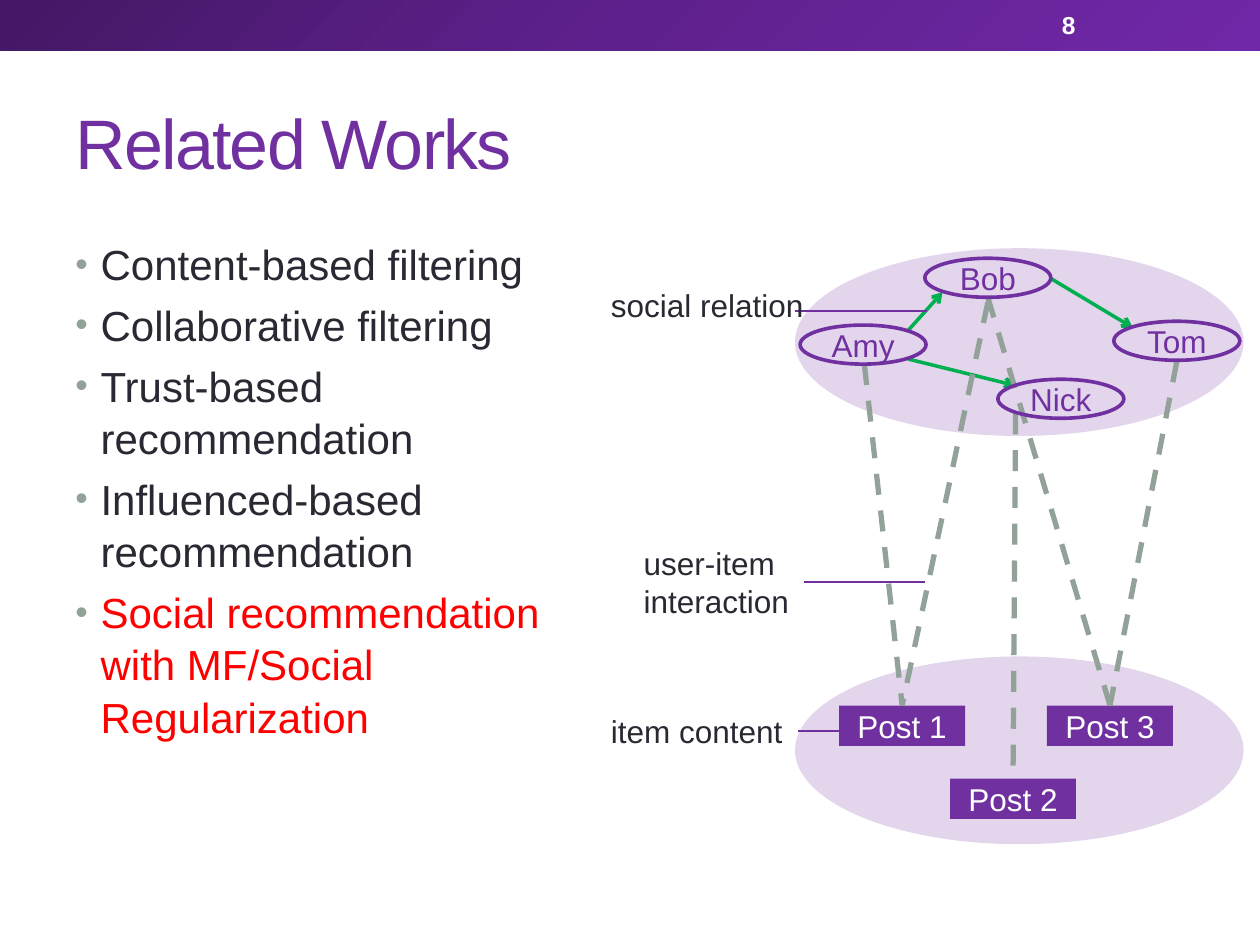
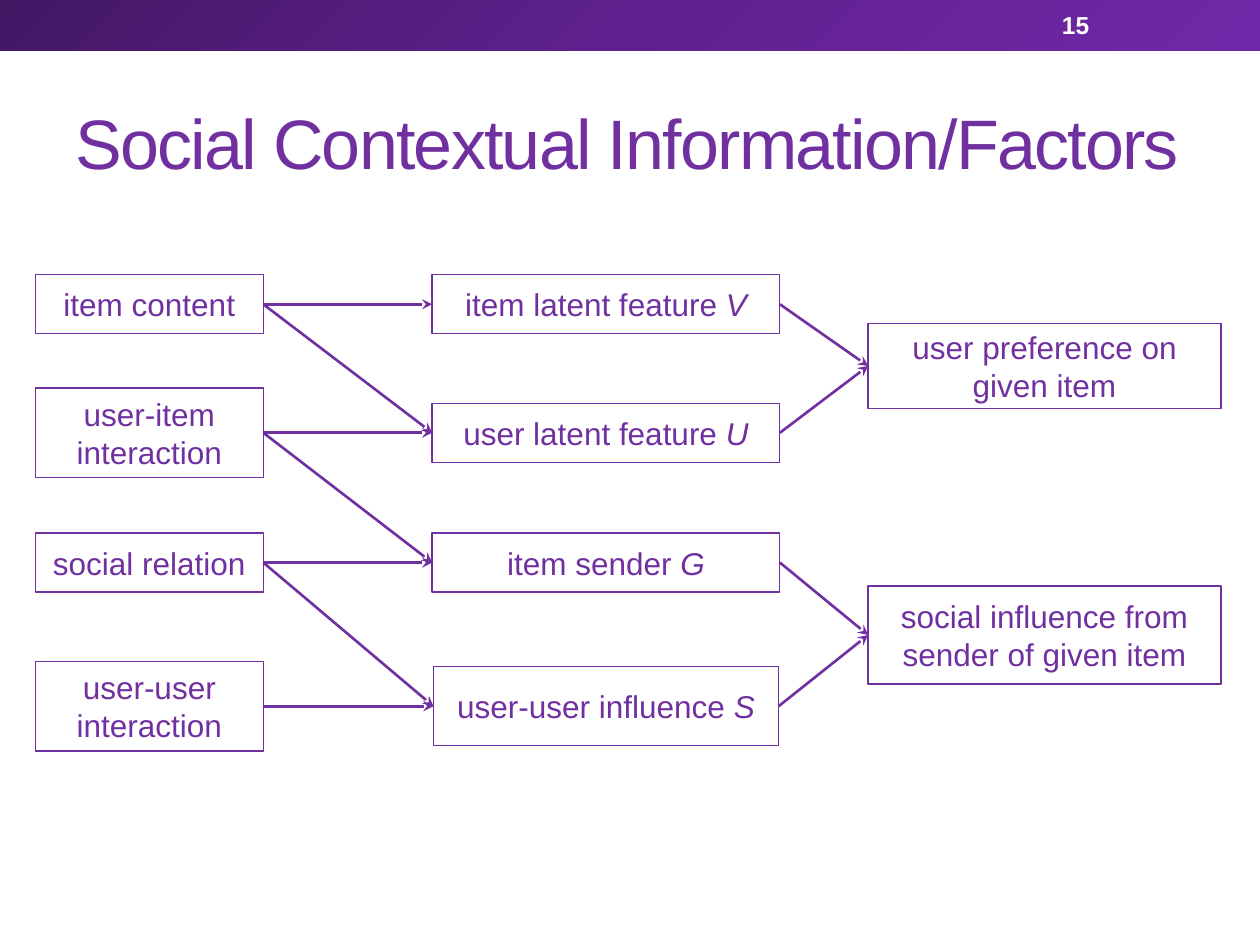
from copy import deepcopy

from lxml import etree
from pptx import Presentation
from pptx.dml.color import RGBColor
from pptx.enum.dml import MSO_LINE
from pptx.enum.shapes import MSO_CONNECTOR, MSO_SHAPE
from pptx.enum.text import MSO_ANCHOR, PP_ALIGN
from pptx.oxml.ns import qn
from pptx.util import Inches, Pt

RECTANGLE, ELLIPSE = MSO_SHAPE.RECTANGLE, MSO_SHAPE.OVAL
STRAIGHT, DASH = MSO_CONNECTOR.STRAIGHT, MSO_LINE.DASH
TOP, MIDDLE = MSO_ANCHOR.TOP, MSO_ANCHOR.MIDDLE
LEFT, CENTER = PP_ALIGN.LEFT, PP_ALIGN.CENTER
TOP_SIDE, LEFT_SIDE, RIGHT_SIDE = 0, 1, 3

FONT = "Arial"
PURPLE = RGBColor(0x70, 0x30, 0xA0)
WHITE = RGBColor(0xFF, 0xFF, 0xFF)
INK = RGBColor(0x29, 0x29, 0x34)
RED = RGBColor(0xFF, 0x00, 0x00)
GREEN = RGBColor(0x00, 0xB0, 0x50)
GRAY = RGBColor(0x93, 0xA2, 0x99)
BAND_COLORS = [RGBColor(0x43, 0x17, 0x64), RGBColor(0x5F, 0x21, 0x8E),
               RGBColor(0x71, 0x28, 0xA8)]


def add_box(slide, kind, box, text="", color=PURPLE, size=18, align=CENTER,
            anchor=MIDDLE, fill=None, outline=None, wrap=True):
    """Add a preset shape, or a text box when kind is None."""
    place = [Inches(length) for length in box]
    if kind is None:
        shape = slide.shapes.add_textbox(*place)
    else:
        shape = slide.shapes.add_shape(kind, *place)
        shape.shadow.inherit = False
        if fill is None:
            shape.fill.background()
        else:
            shape.fill.solid()
            shape.fill.fore_color.rgb = fill
        if outline is None:
            shape.line.fill.background()
        else:
            shape.line.color.rgb = PURPLE
            shape.line.width = Pt(outline)
    frame = shape.text_frame
    frame.text = text
    frame.word_wrap = wrap
    frame.vertical_anchor = anchor
    for paragraph in frame.paragraphs:
        paragraph.alignment = align
        paragraph.font.name = FONT
        paragraph.font.size = Pt(size)
        paragraph.font.color.rgb = color
    return shape


def add_line(slide, start, end, color, width, arrow=None):
    """Add a straight line; an end is a point or a (shape, side) pair."""
    points = [(0, 0) if hasattr(point[0], "shape_id") else point for point in (start, end)]
    line = slide.shapes.add_connector(
        STRAIGHT, *[Inches(length) for point in points for length in point])
    if hasattr(start[0], "shape_id"):
        line.begin_connect(*start)
    if hasattr(end[0], "shape_id"):
        line.end_connect(*end)
    line.line.color.rgb = color
    line.line.width = Pt(width)
    if arrow:
        etree.SubElement(line.line._get_or_add_ln(), qn("a:tailEnd"), type=arrow)
    etree.SubElement(line._element.spPr, qn("a:effectLst"))
    return line


presentation = Presentation()
presentation.slide_width = Inches(10)
presentation.slide_height = Inches(7.5)
blank_layout = presentation.slide_layouts[6]

# Shared frame: gradient band, slide number and title
slides = []
for number, title in [("8", "Related Works"),
                      ("15", "Social Contextual Information/Factors")]:
    slide = presentation.slides.add_slide(blank_layout)
    slides.append(slide)
    band = add_box(slide, RECTANGLE, (0, 0, 10, 0.4))
    band.fill.gradient()
    band.fill.gradient_angle = 315
    stop_list = band._element.spPr.find(qn("a:gradFill")).find(qn("a:gsLst"))
    stop_list.append(deepcopy(stop_list[-1]))
    for stop, color, position in zip(band.fill.gradient_stops, BAND_COLORS, (0, 0.5, 1)):
        stop.color.rgb = color
        stop.position = position
    number_box = add_box(slide, None, (8.33, 0.02, 1.17, 0.36), number, WHITE, 14, LEFT)
    number_box.text_frame.paragraphs[0].font.bold = True
    title_box = add_box(slide, None, (0.5, 0.58, 9, 1.08), title, size=40, align=LEFT)
    title_run = title_box.text_frame.paragraphs[0].runs[0]
    title_run._r.get_or_add_rPr().set("spc", "-100")

related_slide, factors_slide = slides

# Related works: bullet list
topics = ["Content-based filtering", "Collaborative filtering",
          "Trust-based recommendation", "Influenced-based recommendation",
          "Social recommendation with MF/Social Regularization"]
topic_box = add_box(related_slide, None, (0.5, 1.83, 4.42, 5.16), "\n".join(topics),
                    INK, 24, LEFT, TOP)
for paragraph in topic_box.text_frame.paragraphs:
    paragraph.space_before = Pt(4.8)
    paragraph.line_spacing = 1.04
    properties = paragraph._p.get_or_add_pPr()
    properties.set("marL", str(Inches(0.2)))
    properties.set("indent", str(-Inches(0.2)))
    bullet_parts = [
        etree.Element(qn("a:buClr")),
        etree.Element(qn("a:buSzPct"), val="85000"),
        etree.Element(qn("a:buFont"), typeface=FONT),
        etree.Element(qn("a:buChar"), char="•"),
    ]
    etree.SubElement(bullet_parts[0], qn("a:srgbClr"), val=str(GRAY))
    default_font = properties.find(qn("a:defRPr"))
    for part in bullet_parts:
        default_font.addprevious(part)
topic_box.text_frame.paragraphs[-1].font.color.rgb = RED

# Related works: user layer and item layer
for layer_top in (1.97, 5.21):
    layer = add_box(related_slide, ELLIPSE, (6.31, layer_top, 3.56, 1.49), fill=PURPLE)
    layer_color = layer._element.spPr.find(qn("a:solidFill"))[0]
    etree.SubElement(layer_color, qn("a:alpha"), val="20000")

posts = {}
for name, left, top in [("Post 1", 6.66, 5.6), ("Post 2", 7.54, 6.18),
                        ("Post 3", 8.31, 5.6)]:
    posts[name] = add_box(related_slide, RECTANGLE, (left, top, 1, 0.32), name,
                          WHITE, fill=PURPLE)

# Social relations between users
for start, end in [((7.21, 2.62), (7.48, 2.32)), ((7.21, 2.85), (8.06, 3.06)),
                   ((8.34, 2.21), (8.99, 2.6))]:
    add_line(related_slide, start, end, GREEN, 2, "arrow")

# Interactions between users and posts
for start, post in [((6.86, 2.89), "Post 1"), ((7.84, 2.4), "Post 1"),
                    ((7.84, 2.36), "Post 3"), ((9.34, 2.87), "Post 3"),
                    ((8.06, 3.28), "Post 2")]:
    interaction = add_line(related_slide, start, (posts[post], TOP_SIDE), GRAY, 3)
    interaction.line.dash_style = DASH

for name, left, top in [("Amy", 6.35, 2.58), ("Tom", 8.84, 2.55),
                        ("Bob", 7.34, 2.05), ("Nick", 7.92, 3.01)]:
    add_box(related_slide, ELLIPSE, (left, top, 1, 0.31), name, outline=2.08, wrap=False)

# Labels with leader lines
for text, box, leader_left, leader_right, leader_y in [
        ("social relation", (4.75, 2.22, 1.74, 0.4), 6.31, 7.36, 2.47),
        ("user-item\ninteraction", (5.01, 4.27, 1.37, 0.71), 6.38, 7.34, 4.62),
        ("item content", (4.75, 5.6, 1.58, 0.4), 6.33, 6.69, 5.8)]:
    add_line(related_slide, (leader_left, leader_y), (leader_right, leader_y), PURPLE, 1)
    add_box(related_slide, None, box, text, INK, align=LEFT, anchor=TOP, wrap=False)

# Factors: three columns of boxes, with an italic symbol where there is one
factors = {}
for text, symbol, box in [
        ("item content", "", (0.28, 2.18, 1.81, 0.47)),
        ("user-item interaction", "", (0.28, 3.08, 1.81, 0.71)),
        ("social relation", "", (0.28, 4.23, 1.81, 0.47)),
        ("user-user interaction", "", (0.28, 5.25, 1.81, 0.71)),
        ("item latent feature ", "V", (3.43, 2.18, 2.76, 0.47)),
        ("user latent feature ", "U", (3.43, 3.2, 2.76, 0.47)),
        ("item sender ", "G", (3.43, 4.23, 2.76, 0.47)),
        ("user-user influence ", "S", (3.44, 5.29, 2.74, 0.63)),
        ("user preference on given item", "", (6.89, 2.57, 2.8, 0.67)),
        ("social influence from sender of given item", "", (6.89, 4.65, 2.8, 0.78))]:
    shape = add_box(factors_slide, RECTANGLE, box, text, outline=0.75)
    if symbol:
        run = shape.text_frame.paragraphs[0].add_run()
        run.text = symbol
        run.font.italic = True
    factors[symbol or text] = shape

# Factors: arrows from each box to what it feeds
for source, targets in [
        ("item content", "VU"), ("user-item interaction", "UG"),
        ("social relation", "GS"), ("user-user interaction", "S"),
        ("V", ["user preference on given item"]),
        ("U", ["user preference on given item"]),
        ("G", ["social influence from sender of given item"]),
        ("S", ["social influence from sender of given item"])]:
    for target in targets:
        add_line(factors_slide, (factors[source], RIGHT_SIDE),
                 (factors[target], LEFT_SIDE), PURPLE, 1.5, "stealth")

presentation.save("out.pptx")
